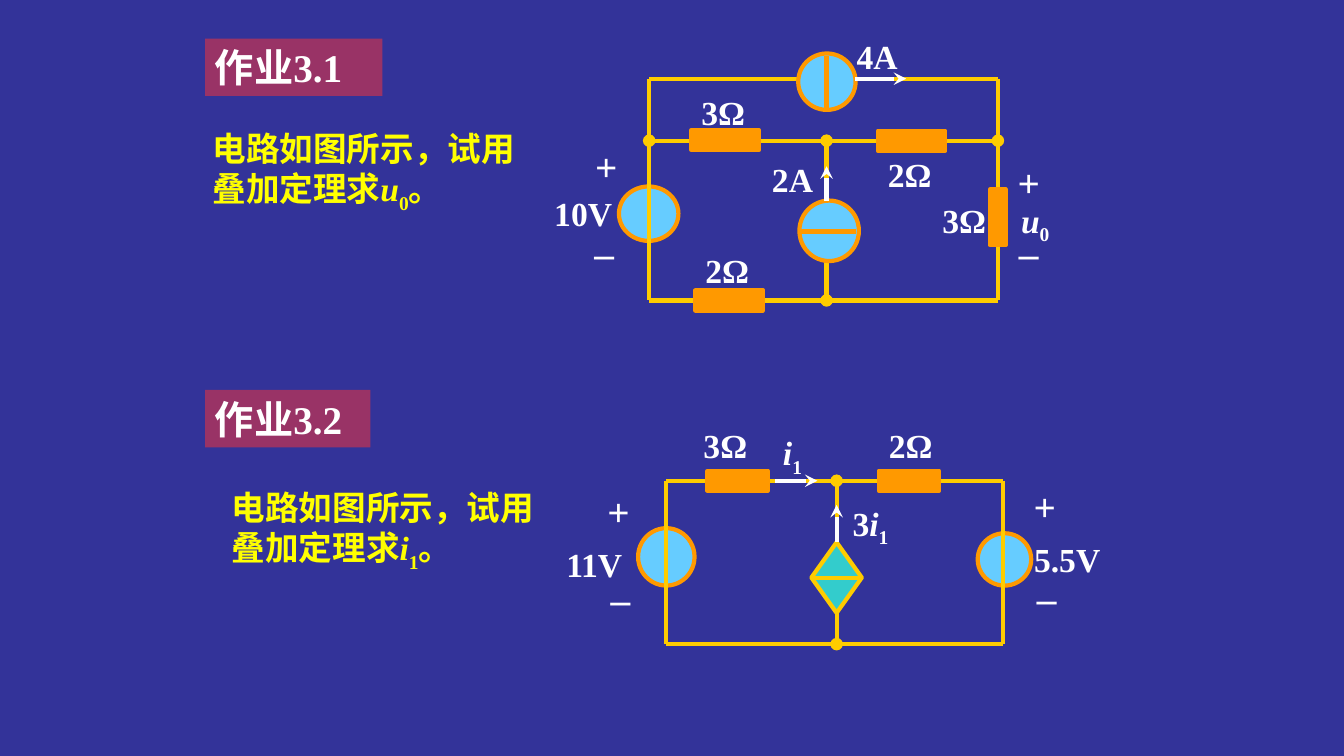
import pptx
import pptx.dml.color
import pptx.enum.shapes
import pptx.enum.text
import pptx.oxml.ns
import pptx.util

Pt = pptx.util.Pt
KIND = pptx.enum.shapes.MSO_SHAPE
ALIGN = pptx.enum.text.PP_ALIGN
NAVY, WHITE, YELLOW, PLUM = "333399", "FFFFFF", "FFFF00", "993366"
GOLD, ORANGE, SKY, TEAL = "FFCC00", "FF9900", "66CCFF", "33CCCC"


def color(code):
    return pptx.dml.color.RGBColor.from_string(code)


class Board:
    def __init__(self, slide):
        self.slide = slide
        self.layer = slide.shapes
        self.width = 3
        self.face = "Times New Roman"

    def group(self):
        """Send the next elements into a new group."""
        self.layer = self.slide.shapes.add_group_shape().shapes

    def page(self):
        """Send the next elements straight onto the slide."""
        self.layer = self.slide.shapes

    def shape(self, kind, box, fill, edge=None):
        item = self.layer.add_shape(kind, *map(Pt, box))
        item.shadow.inherit = False
        item.fill.solid()
        item.fill.fore_color.rgb = color(fill)
        if edge:
            item.line.color.rgb = color(edge)
            item.line.width = Pt(self.width)
        else:
            item.line.fill.background()
        return item

    def line(self, start, end, ink=GOLD, **tips):
        """Draw a line; tips maps headEnd and tailEnd to their types."""
        kind = pptx.enum.shapes.MSO_CONNECTOR.STRAIGHT
        item = self.layer.add_connector(kind, *map(Pt, start + end))
        item.line.color.rgb = color(ink)
        item.line.width = Pt(self.width)
        props = item._element.spPr
        for tag, tip in tips.items():
            node = props.makeelement(pptx.oxml.ns.qn("a:" + tag), {"type": tip})
            props.ln.append(node)
        props.append(props.makeelement(pptx.oxml.ns.qn("a:effectLst"), {}))

    def node(self, start, end):
        """Draw a wire with a dot at each end."""
        self.line(start, end, headEnd="oval", tailEnd="oval")

    def arrow(self, start, end):
        self.line(start, end, WHITE, tailEnd="stealth")

    def letter(self, item, parts, size=24, ink=WHITE, align=ALIGN.LEFT, first=None):
        """Fill a shape with (text, style) runs; style is "", "var" or "sub"."""
        frame = item.text_frame
        frame.word_wrap = True
        frame.vertical_anchor = pptx.enum.text.MSO_ANCHOR.TOP
        para = frame.paragraphs[0]
        para.alignment = align
        for spot, (text, style) in enumerate(parts):
            run = para.add_run()
            run.text = text
            face = first if first and spot == 0 else self.face
            looks = {"name": face, "size": Pt(size), "bold": True, "italic": style == "var"}
            for key, value in looks.items():
                setattr(run.font, key, value)
            run.font.color.rgb = color(ink)
            if style == "sub":
                run._r.get_or_add_rPr().set("baseline", "-25000")

    def text(self, box, parts, **style):
        self.letter(self.layer.add_textbox(*map(Pt, box)), parts, **style)

    def label(self, left, top, *parts, width=51):
        self.text((left, top, width, 36), parts)

    def signs(self, plus, minus):
        """Mark the polarity of a source or load."""
        for sign, spot, width in (("+", plus, 35.3), ("_", minus, 32.4)):
            self.text(spot + (width, 41), [(sign, "")], size=28, align=ALIGN.CENTER)

    def title(self, top, width, text):
        item = self.shape(KIND.RECTANGLE, (146.5, top, width, 41), PLUM)
        self.letter(item, [(text, "")], size=28)

    def task(self, left, top, var, sub):
        parts = [("电路如图所示，试用叠加定理求", ""), (var, "var"), (sub, "sub"), ("。", "")]
        self.text((left, top, 242.6, 65.5), parts, ink=YELLOW, first="Arial")

    def source(self, *box):
        self.shape(KIND.OVAL, box, SKY, ORANGE)

    def load(self, *box):
        """Draw a resistor."""
        self.shape(KIND.RECTANGLE, box, ORANGE, ORANGE)

    def frame(self, left, top, right, low):
        """Draw the outer loop of wires."""
        for start, end in (((left, top), (right, top)), ((left, low), (right, low)),
                           ((left, top), (left, low)), ((right, top), (right, low))):
            self.line(start, end)


def first(board):
    left, mid, right = 463.7, 590.4, 712.8
    top, row, low = 56.2, 100.5, 214.6
    board.group()
    board.signs((415.4, 97.9), (415.4, 150.5))
    board.signs((717.1, 109.4), (718.6, 150.5))
    board.source(442.1, 133.2, 42.5, 38.9)
    board.frame(left, top, right, low)
    board.node((mid, row), (mid, low))
    board.node((left, row), (right, row))
    for x, y in ((627.1, 93.4), (496.8, 207.4), (493.9, 92.9)):
        board.load(x, y, 48.2, 14.4)
    board.load(707, 135.4, 11.5, 39.6)
    board.source(570.2, 38.2, 41, 40.3)
    board.line((mid, 40.3), (mid, 77), ORANGE)
    board.arrow((610.6, top), (647.3, top))
    board.source(571, 143.3, 42.5, 43.2)
    board.line((571.7, 165.4), (611.3, 165.4), ORANGE)
    board.arrow((mid, 143.3), (mid, 118.8))
    for x, y, name in ((627.1, 106.6, "2Ω"), (666, 139, "3Ω"), (493.9, 61.9, "3Ω"),
                       (496.8, 175, "2Ω"), (544.3, 110.2, "2A"), (604.8, 22.3, "4A")):
        board.label(x, y, (name, ""))
    board.label(388.8, 134.6, ("10V", ""), width=61.9)
    board.label(722.2, 139, ("u", "var"), ("0", "sub"))


def second(board):
    left, mid, right = 475.9, 597.6, 716.4
    top, low, bar = 343.4, 460.1, 412.6
    board.group()
    board.signs((424.1, 344.2), (427, 397.4))
    board.signs((728.6, 341.3), (731.5, 396.7))
    board.source(698.4, 380.9, 38.2, 37.4)
    board.source(455.8, 377.3, 40.3, 41)
    board.frame(left, top, right, low)
    board.node((mid, top), (mid, low))
    for x in (505.4, 627.8):
        board.load(x, 336.2, 43, 14.4)
    board.shape(KIND.DIAMOND, (579.6, 387.4, 36, 50.4), TEAL, GOLD)
    board.line((579.6, bar), (615.6, bar))
    board.arrow((mid, 387.4), (mid, 360.7))
    board.arrow((553.7, top), (583.9, top))
    board.label(495.4, 300.2, ("3Ω", ""))
    board.label(627.8, 300.2, ("2Ω", ""))
    board.label(397.4, 385.2, ("11V", ""), width=58.3)
    board.label(731.5, 381.6, ("5.5V", ""), width=65.5)
    board.label(552.2, 305.3, ("i", "var"), ("1", "sub"), width=36)
    board.label(601.9, 355.7, ("3", ""), ("i", "var"), ("1", "sub"))


def main():
    deck = pptx.Presentation()
    deck.slide_width, deck.slide_height = Pt(960), Pt(540)
    slide = deck.slides.add_slide(deck.slide_layouts[6])
    slide.background.fill.solid()
    slide.background.fill.fore_color.rgb = color(NAVY)
    board = Board(slide)
    board.title(27.6, 126.7, "作业3.1")
    board.title(278.6, 118.1, "作业3.2")
    first(board)
    board.page()
    board.task(144.7, 87.8, "u", "0")
    second(board)
    board.page()
    board.task(158.4, 344.2, "i", "1")
    deck.save("out.pptx")


if __name__ == "__main__":
    main()
